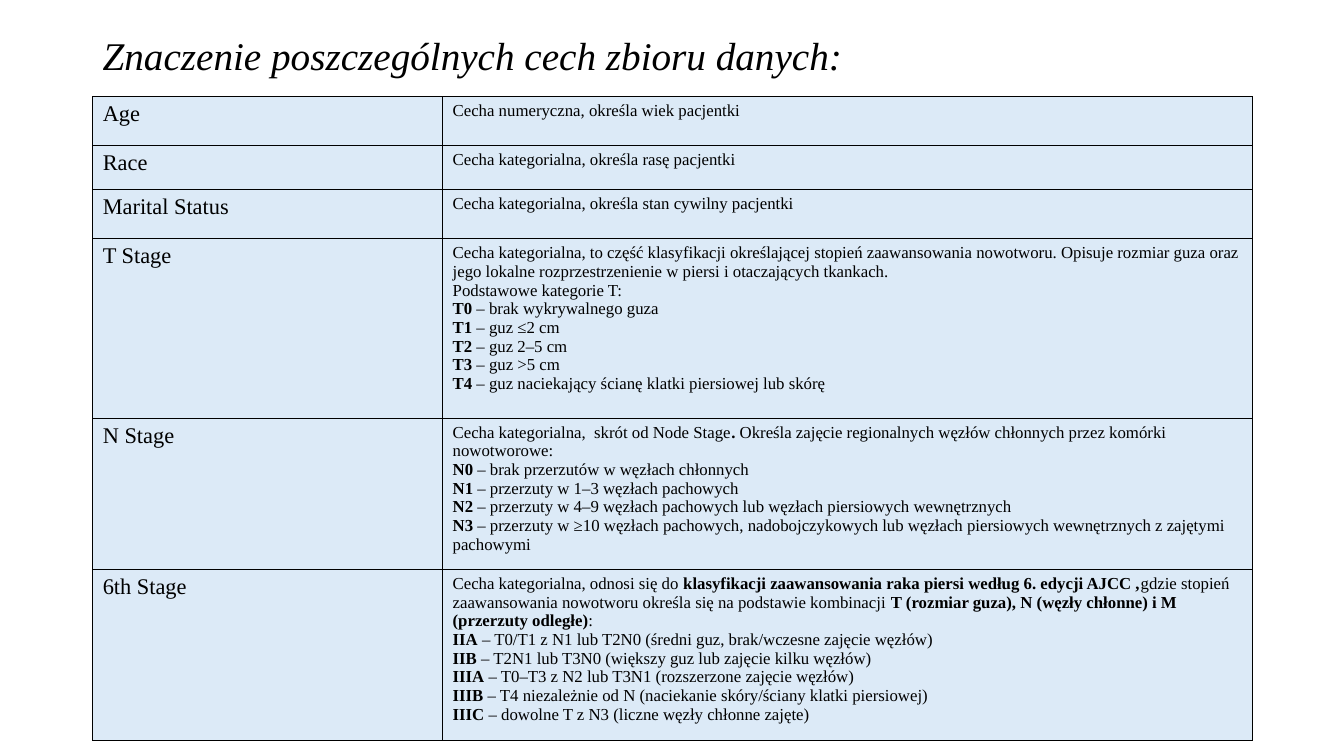
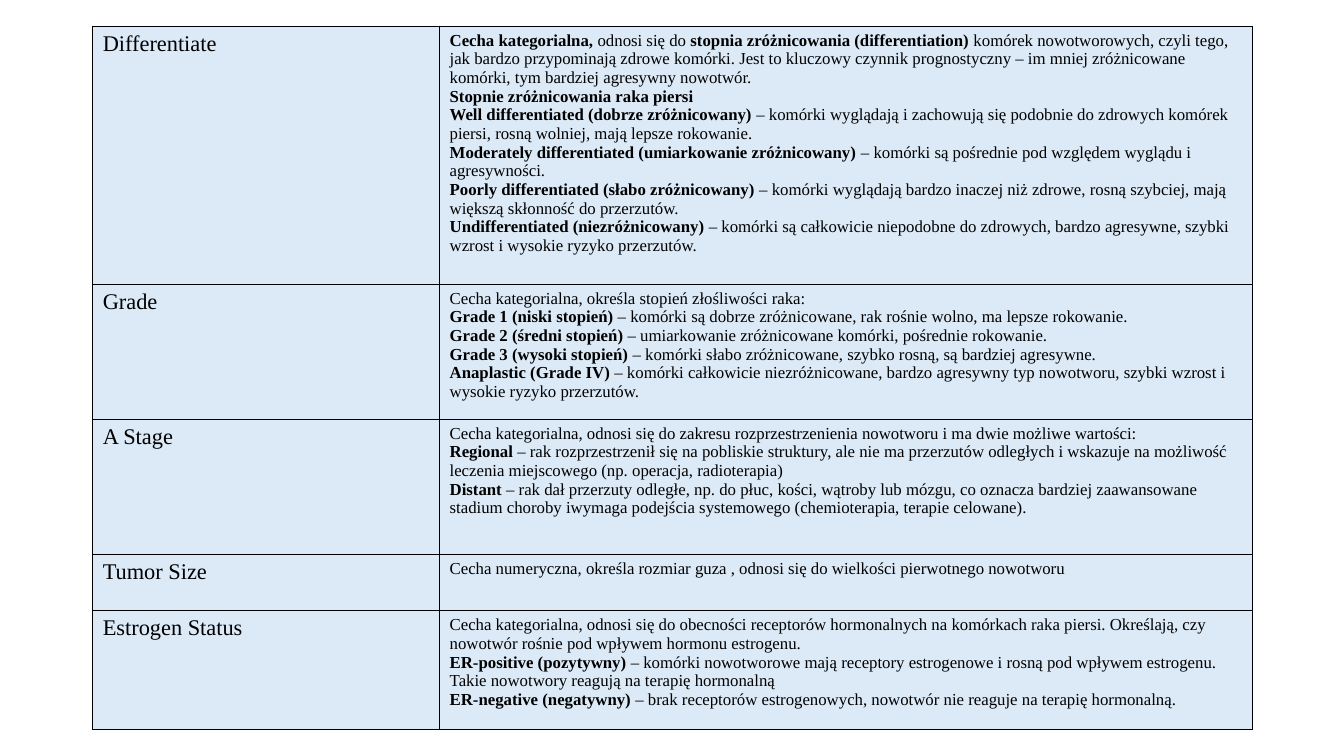
from dataclasses import dataclass

from pptx import Presentation, util as u
from pptx.dml import color
from pptx.enum import text
from pptx.oxml import ns, xmlchemy

FONT = "Times New Roman"
INK = "000000"
CELL_BLUE = "DCEAF7"
TITLE_SIZE, NAME_SIZE, BODY_SIZE = 28, 16, 12
LEFT, WIDTH = 92, 1150
BOLD_MARK = "**"


@dataclass(frozen=True)
class Feature:
    name: str
    height: int
    lines: tuple[str, ...]


@dataclass(frozen=True)
class FeaturePage:
    top: int
    name_width: int
    features: tuple[Feature, ...]
    title: str = ""


PAGES = (
    FeaturePage(96, 347, (
        Feature("Age", 48, ("Cecha numeryczna, określa wiek pacjentki",)),
        Feature("Race", 44, ("Cecha kategorialna, określa rasę pacjentki",)),
        Feature("Marital Status", 49, ("Cecha kategorialna, określa stan cywilny pacjentki",)),
        Feature("T Stage", 178, (
            "Cecha kategorialna, to część klasyfikacji określającej stopień zaawansowania nowotworu. "
            "Opisuje rozmiar guza oraz jego lokalne rozprzestrzenienie w piersi i otaczających tkankach.",
            "Podstawowe kategorie T:",
            "**T0** – brak wykrywalnego guza",
            "**T1** – guz ≤2 cm",
            "**T2** – guz 2–5 cm",
            "**T3** – guz >5 cm",
            "**T4** – guz naciekający ścianę klatki piersiowej lub skórę",
        )),
        Feature("N Stage", 139, (
            "Cecha kategorialna,  skrót od Node Stage**. **Określa zajęcie regionalnych węzłów chłonnych "
            "przez komórki nowotworowe:",
            "**N0** – brak przerzutów w węzłach chłonnych",
            "**N1** – przerzuty w 1–3 węzłach pachowych",
            "**N2** – przerzuty w 4–9 węzłach pachowych lub węzłach piersiowych wewnętrznych",
            "**N3** – przerzuty w ≥10 węzłach pachowych, nadobojczykowych lub węzłach piersiowych "
            "wewnętrznych z zajętymi pachowymi",
        )),
        Feature("6th Stage", 157, (
            "Cecha kategorialna, odnosi się do **klasyfikacji zaawansowania raka piersi według 6. edycji "
            "AJCC ,**gdzie stopień zaawansowania nowotworu określa się na podstawie kombinacji "
            "**T (rozmiar guza), N (węzły chłonne) i M (przerzuty odległe)**:",
            "**IIA** – T0/T1 z N1 lub T2N0 (średni guz, brak/wczesne zajęcie węzłów)",
            "**IIB** – T2N1 lub T3N0 (większy guz lub zajęcie kilku węzłów)",
            "**IIIA** – T0–T3 z N2 lub T3N1 (rozszerzone zajęcie węzłów)",
            "**IIIB** – T4 niezależnie od N (naciekanie skóry/ściany klatki piersiowej)",
            "**IIIC** – dowolne T z N3 (liczne węzły chłonne zajęte)",
        )),
    ), "Znaczenie poszczególnych cech zbioru danych:"),
    FeaturePage(26, 344, (
        Feature("Differentiate", 256, (
            "**Cecha kategorialna, **odnosi się do **stopnia zróżnicowania (differentiation)** komórek "
            "nowotworowych, czyli tego, jak bardzo przypominają zdrowe komórki. Jest to kluczowy czynnik "
            "prognostyczny – im mniej zróżnicowane komórki, tym bardziej agresywny nowotwór.",
            "**Stopnie zróżnicowania raka piersi**",
            "**Well differentiated (dobrze zróżnicowany)** – komórki wyglądają i zachowują się podobnie "
            "do zdrowych komórek piersi, rosną wolniej, mają lepsze rokowanie.",
            "**Moderately differentiated (umiarkowanie zróżnicowany)** – komórki są pośrednie pod "
            "względem wyglądu i agresywności.",
            "**Poorly differentiated (słabo zróżnicowany)** – komórki wyglądają bardzo inaczej niż "
            "zdrowe, rosną szybciej, mają większą skłonność do przerzutów.",
            "**Undifferentiated (niezróżnicowany)** – komórki są całkowicie niepodobne do zdrowych, "
            "bardzo agresywne, szybki wzrost i wysokie ryzyko przerzutów.",
        )),
        Feature("Grade", 134, (
            "Cecha kategorialna, określa stopień złośliwości raka:",
            "**Grade 1 (niski stopień)** – komórki są dobrze zróżnicowane, rak rośnie wolno, ma lepsze "
            "rokowanie.",
            "**Grade 2 (średni stopień)** – umiarkowanie zróżnicowane komórki, pośrednie rokowanie.",
            "**Grade 3 (wysoki stopień)** – komórki słabo zróżnicowane, szybko rosną, są bardziej "
            "agresywne.",
            "**Anaplastic (Grade IV)** – komórki całkowicie niezróżnicowane, bardzo agresywny typ "
            "nowotworu, szybki wzrost i wysokie ryzyko przerzutów.",
        )),
        Feature("A Stage", 134, (
            "Cecha kategorialna, odnosi się do zakresu rozprzestrzenienia nowotworu i ma dwie możliwe "
            "wartości:",
            "**Regional** – rak rozprzestrzenił się na pobliskie struktury, ale nie ma przerzutów "
            "odległych i wskazuje na możliwość leczenia miejscowego (np. operacja, radioterapia)",
            "**Distant** – rak dał przerzuty odległe, np. do płuc, kości, wątroby lub mózgu, co oznacza "
            "bardziej zaawansowane stadium choroby iwymaga podejścia systemowego (chemioterapia, "
            "terapie celowane).",
        )),
        Feature("Tumor Size", 56, (
            "Cecha numeryczna, określa rozmiar guza , odnosi się do wielkości pierwotnego nowotworu",
        )),
        Feature("Estrogen Status", 118, (
            "Cecha kategorialna, odnosi się do obecności receptorów hormonalnych na komórkach raka "
            "piersi. Określają, czy nowotwór rośnie pod wpływem hormonu estrogenu.",
            "**ER-positive (pozytywny)** – komórki nowotworowe mają receptory estrogenowe i rosną pod "
            "wpływem estrogenu. Takie nowotwory reagują na terapię hormonalną",
            "**ER-negative (negatywny)** – brak receptorów estrogenowych, nowotwór nie reaguje na "
            "terapię hormonalną.",
        )),
    )),
)


def px(length: int) -> int:
    return u.Emu(length * 9144)


def rgb(value: str) -> color.RGBColor:
    return color.RGBColor.from_string(value)


def style_font(font, size: int) -> None:
    font.name = FONT
    font.size = u.Pt(size)
    font.color.rgb = rgb(INK)


def write_line(para, line: str, size: int) -> None:
    for index, piece in enumerate(line.split(BOLD_MARK)):
        if piece:
            span = para.add_run()
            span.text = piece
            style_font(span.font, size)
            span.font.bold = index % 2 == 1


def add_borders(cell) -> None:
    properties = cell._tc.get_or_add_tcPr()
    for side in ("lnL", "lnR", "lnT", "lnB"):
        border = xmlchemy.OxmlElement(f"a:{side}")
        border.set("w", str(u.Pt(1)))
        fill = xmlchemy.OxmlElement("a:solidFill")
        ink = xmlchemy.OxmlElement("a:srgbClr")
        ink.set("val", INK)
        fill.append(ink)
        border.append(fill)
        properties.append(border)


def fill_cell(cell, lines: tuple[str, ...], size: int) -> None:
    add_borders(cell)
    cell.fill.solid()
    cell.fill.fore_color.rgb = rgb(CELL_BLUE)
    frame = cell.text_frame
    for index, line in enumerate(lines):
        para = frame.add_paragraph() if index else frame.paragraphs[0]
        write_line(para, line, size)


def add_title(page, title: str) -> None:
    box = page.shapes.add_textbox(px(LEFT), px(19), px(WIDTH), px(77))
    frame = box.text_frame
    frame.word_wrap = True
    frame.vertical_anchor = text.MSO_ANCHOR.MIDDLE
    frame.text = title
    para = frame.paragraphs[0]
    para.line_spacing = 0.9
    style_font(para.runs[0].font, TITLE_SIZE)
    para.runs[0].font.italic = True


def add_feature_table(page, content: FeaturePage) -> None:
    features = content.features
    height = sum(feature.height for feature in features)
    table = page.shapes.add_table(
        len(features), 2, px(LEFT), px(content.top), px(WIDTH), px(height)
    ).table
    table.first_row = table.horz_banding = False
    table.columns[0].width = px(content.name_width)
    table.columns[1].width = px(WIDTH - content.name_width)
    for row, feature in zip(table.rows, features):
        row.height = px(feature.height)
        fill_cell(row.cells[0], (feature.name,), NAME_SIZE)
        fill_cell(row.cells[1], feature.lines, BODY_SIZE)


def main() -> None:
    deck = Presentation()
    deck.slide_width, deck.slide_height = px(1333), px(750)
    for content in PAGES:
        page = deck.slides.add_slide(deck.slide_layouts[6])
        if content.title:
            add_title(page, content.title)
        add_feature_table(page, content)
    deck.save("out.pptx")


if __name__ == "__main__":
    main()
